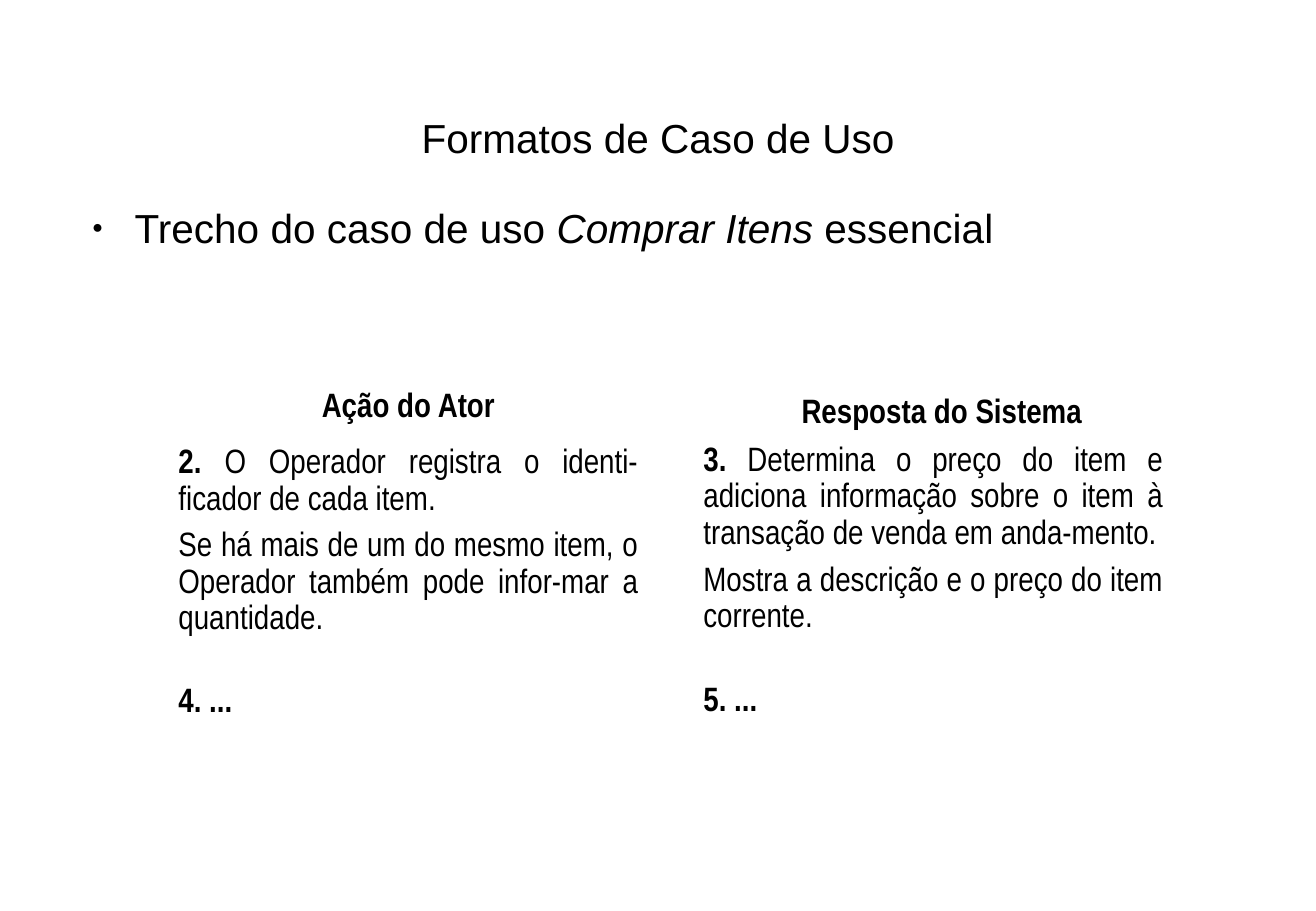
import dataclasses
import typing

import lxml.etree
import pptx
import pptx.dml.color
import pptx.enum.shapes
import pptx.enum.text
import pptx.oxml.ns
import pptx.slide
import pptx.util

Inches = pptx.util.Inches
Align = pptx.enum.text.PP_ALIGN

COLORS = {"text": "000000", "panel": "FFFFFF"}
LEFT_COLUMN, RIGHT_COLUMN, COLUMN_WIDTH = 1.37, 5.69, 3.98
HEADING = {"name": "Arial", "size": pptx.util.Pt(24)}
BODY = {"name": "Arial Narrow", "size": pptx.util.Pt(20)}
BOLD = {"bold": True}
ITALIC = {"italic": True}


class Run(typing.NamedTuple):
    text: str
    format: dict[str, typing.Any] = {}


@dataclasses.dataclass
class TextBlock:
    left: float
    top: float
    width: float
    height: float
    paragraphs: list[list[Run]]
    font: dict[str, typing.Any] = dataclasses.field(default_factory=lambda: BODY)
    alignment: Align = Align.JUSTIFY
    line_spacing: float = 0.9
    filled: bool = False
    bulleted: bool = False


BLOCKS = [
    TextBlock(0.54, 0.88, 9.75, 1.5, [[Run("Formatos de Caso de Uso")]],
              HEADING, Align.CENTER, 1.0, filled=True),
    TextBlock(0.54, 1.62, 9.75, 4.25,
              [[Run("Trecho do caso de uso "), Run("Comprar Itens", ITALIC), Run(" essencial")]],
              HEADING, Align.LEFT, 1.0, filled=True, bulleted=True),
    TextBlock(LEFT_COLUMN, 3.15, COLUMN_WIDTH, 0.43,
              [[Run("Ação do Ator", BOLD)]], alignment=Align.CENTER),
    TextBlock(RIGHT_COLUMN, 3.2, 4.12, 0.39,
              [[Run("Resposta do Sistema", BOLD)]], alignment=Align.CENTER),
    TextBlock(LEFT_COLUMN, 3.61, COLUMN_WIDTH, 1.97, [
        [Run("2.", BOLD), Run(" O Operador registra o identi-ficador de cada item.")],
        [Run("Se há mais de um do mesmo item, o Operador também pode infor-mar a quantidade.")],
    ]),
    TextBlock(RIGHT_COLUMN, 3.59, COLUMN_WIDTH, 1.99, [
        [Run("3.", BOLD), Run(" Determina o preço do item e adiciona informação sobre o item à "
                              "transação de venda em anda-mento.")],
        [Run("Mostra a descrição e o preço do item corrente.")],
    ]),
    TextBlock(LEFT_COLUMN, 5.58, COLUMN_WIDTH, 1.04, [[Run("4. ...", BOLD)]]),
    TextBlock(RIGHT_COLUMN, 5.57, COLUMN_WIDTH, 1.05, [[Run("5. ...", BOLD)]]),
]


def color(name: str) -> pptx.dml.color.RGBColor:
    return pptx.dml.color.RGBColor.from_string(COLORS[name])


def add_bullet(paragraph: typing.Any) -> None:
    properties = paragraph._p.get_or_add_pPr()
    properties.set("marL", str(Inches(0.47)))
    properties.set("indent", str(Inches(-0.35)))
    for tag, attribute, value in (("a:buSzPct", "val", "45000"),
                                  ("a:buFont", "typeface", "Arial"),
                                  ("a:buChar", "char", "●")):
        element = lxml.etree.SubElement(properties, pptx.oxml.ns.qn(tag))
        element.set(attribute, value)


def add_outline(slide: pptx.slide.Slide, block: TextBlock) -> typing.Any:
    left, top, width, height = map(Inches, (block.left, block.top, block.width, block.height))
    if block.filled:
        shape = slide.shapes.add_shape(
            pptx.enum.shapes.MSO_SHAPE.RECTANGLE, left, top, width, height)
        shape.fill.solid()
        shape.fill.fore_color.rgb = color("panel")
    else:
        right, bottom = left + width, top + height
        builder = slide.shapes.build_freeform(left, top)
        builder.add_line_segments([(right, top), (right, bottom), (left, bottom)], close=True)
        shape = builder.convert_to_shape()
        shape.fill.background()
    shape.line.fill.background()
    shape.shadow.inherit = False
    return shape


def draw_block(slide: pptx.slide.Slide, block: TextBlock) -> None:
    frame = add_outline(slide, block).text_frame
    frame.word_wrap = True
    frame.vertical_anchor = pptx.enum.text.MSO_ANCHOR.TOP
    for index, runs in enumerate(block.paragraphs):
        paragraph = frame.add_paragraph() if index else frame.paragraphs[0]
        paragraph.alignment = block.alignment
        paragraph.line_spacing = block.line_spacing
        if index:
            paragraph.space_before = pptx.util.Pt(6.25)
        if block.bulleted:
            add_bullet(paragraph)
        for item in runs:
            run = paragraph.add_run()
            run.text = item.text
            run.font.color.rgb = color("text")
            for attribute, value in (block.font | item.format).items():
                setattr(run.font, attribute, value)


def main() -> None:
    presentation = pptx.Presentation()
    presentation.slide_width = Inches(10.83)
    presentation.slide_height = Inches(7.5)
    slide = presentation.slides.add_slide(presentation.slide_layouts[6])
    for block in BLOCKS:
        draw_block(slide, block)
    presentation.save("out.pptx")


if __name__ == "__main__":
    main()
